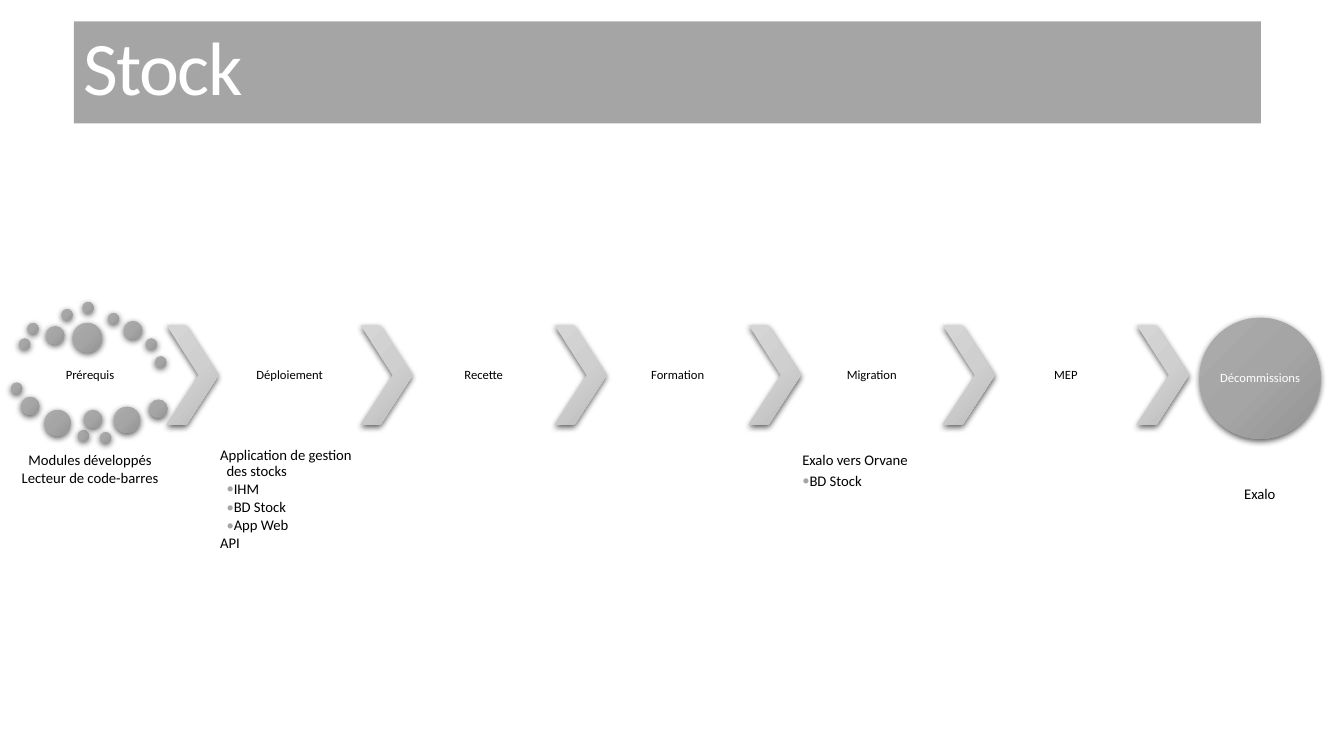
from copy import deepcopy

from lxml import etree
from pptx import Presentation
from pptx.dml.color import RGBColor
from pptx.enum.shapes import MSO_SHAPE
from pptx.enum.text import MSO_ANCHOR, PP_ALIGN
from pptx.oxml.ns import qn
from pptx.util import Cm, Pt

RECTANGLE, OVAL, CHEVRON = MSO_SHAPE.RECTANGLE, MSO_SHAPE.OVAL, MSO_SHAPE.CHEVRON
LEFT, CENTER = PP_ALIGN.LEFT, PP_ALIGN.CENTER
TOP, MIDDLE = MSO_ANCHOR.TOP, MSO_ANCHOR.MIDDLE

COLORS = {"grey": "A5A5A5", "black": "000000", "white": "FFFFFF"}
GRADIENTS = {
    "disc": ["ACACAC", "A5A5A5", "949494"],
    "arrow": ["D5D5D5", "CFCFCF", "BABABA"],
}
FONT = "Calibri"
LABEL_SIZE, DETAIL_SIZE = 9, 10.5
INDENT = 0.16

ARROW_LEFT, ARROW_TOP, ARROW_WIDTH, ARROW_HEIGHT = 4.2, 8.2, 1.31, 2.51
STEP_WIDTH = 3.58
PITCH = ARROW_WIDTH + STEP_WIDTH
DETAIL_TOP, DETAIL_HEIGHT = 11.37, 2.21

SMALL, MEDIUM, LARGE, HUGE = 0.28, 0.46, 0.66, 0.74
DOTS = [  # left and top within the cloud, diameter
    (0.2, 0.92, SMALL), (0.41, 0.53, SMALL), (0.88, 0.61, MEDIUM),
    (1.27, 0.18, SMALL), (1.8, 0, SMALL), (2.44, 0.28, SMALL),
    (2.84, 0.48, MEDIUM), (3.39, 0.92, SMALL), (3.63, 1.37, SMALL),
    (1.55, 0.53, HUGE), (0, 2.03, SMALL), (0.25, 2.39, MEDIUM),
    (0.84, 2.72, LARGE), (1.68, 3.23, SMALL), (1.83, 2.72, MEDIUM),
    (2.24, 3.28, SMALL), (2.59, 2.64, LARGE), (3.48, 2.46, MEDIUM),
]

# Each detail line: text, indent level, bulleted
STEPS = ["Déploiement", "Recette", "Formation", "Migration", "MEP"]
STEP_DETAILS = {
    "Déploiement": (11.25, 3.48, [
        ("Application de gestion des stocks", 1, False),
        ("IHM", 2, True), ("BD Stock", 2, True), ("App Web", 2, True),
        ("API", 1, False)]),
    "Migration": (DETAIL_TOP, DETAIL_HEIGHT, [
        ("Exalo vers Orvane", 0, False), ("BD Stock", 1, True)]),
}


def add_span(para, text, size, color):
    span = para.add_run()
    span.text = text
    span.font.name = FONT
    span.font.size = Pt(size)
    span.font.color.rgb = RGBColor.from_string(COLORS[color])
    return span


def add_bullet(para, size):
    properties = para._p.get_or_add_pPr()
    tint = etree.SubElement(properties, qn("a:buClr"))
    etree.SubElement(tint, qn("a:srgbClr"), val=COLORS["grey"])
    etree.SubElement(properties, qn("a:buFont"), typeface=FONT)
    etree.SubElement(properties, qn("a:buChar"), char="•")
    para.font.name = FONT
    para.font.size = Pt(size)


def add_text(page, left, top, width, height, lines, size,
             align=CENTER, anchor=MIDDLE, color="black", inset=0.04):
    box = page.shapes.add_textbox(Cm(left), Cm(top), Cm(width), Cm(height))
    frame = box.text_frame
    frame.word_wrap = True
    frame.vertical_anchor = anchor
    frame.margin_left = frame.margin_right = Cm(inset)
    frame.margin_top = frame.margin_bottom = Cm(inset)
    for index, (text, level, bulleted) in enumerate(lines):
        para = frame.add_paragraph() if index else frame.paragraphs[0]
        if bulleted:
            add_bullet(para, size)
        if level:
            properties = para._p.get_or_add_pPr()
            properties.set("marL", str(Cm(level * INDENT)))
            properties.set("indent", str(-Cm(INDENT)))
        para.level = level
        para.alignment = align
        para.line_spacing = 0.9
        para.space_after = Pt(round(size * (0.15 if level else 0.35), 1))
        add_span(para, text, size, color)


def add_label(page, left, top, width, height, text, color="black"):
    add_text(page, left, top, width, height, [(text, 0, False)], LABEL_SIZE,
             color=color, inset=0.03)


def add_shaded(page, kind, left, top, width, height, gradient):
    """Add a preset shape with a diagonal gradient and a soft shadow below."""
    shape = page.shapes.add_shape(kind, Cm(left), Cm(top), Cm(width), Cm(height))
    shape.line.fill.background()
    shape.fill.gradient()
    shape.fill.gradient_angle = 315
    properties = shape._element.spPr
    stops = properties.find(".//" + qn("a:gsLst"))
    stops.insert(1, deepcopy(stops[0]))
    for index, stop in enumerate(shape.fill.gradient_stops):
        stop.position = index / 2
        stop.color.rgb = RGBColor.from_string(GRADIENTS[gradient][index])
    shape.shadow.inherit = False
    shadow = etree.SubElement(
        properties.find(qn("a:effectLst")), qn("a:outerShdw"),
        blurRad=str(Pt(4.5)), dist=str(Pt(1.5)), dir="5400000",
        algn="ctr", rotWithShape="0")
    tint = etree.SubElement(shadow, qn("a:srgbClr"), val=COLORS["black"])
    etree.SubElement(tint, qn("a:alpha"), val="63000")
    return shape


def add_title(page, left, top, width, height):
    banner = page.shapes.add_shape(RECTANGLE, Cm(left), Cm(top), Cm(width), Cm(height))
    banner.shadow.inherit = False
    banner.fill.solid()
    banner.fill.fore_color.rgb = RGBColor.from_string(COLORS["grey"])
    banner.line.fill.background()
    banner.text_frame.vertical_anchor = MIDDLE
    para = banner.text_frame.paragraphs[0]
    para.alignment = LEFT
    para.line_spacing = 0.85
    span = add_span(para, "Stock", 54, "white")
    span.font._element.set("spc", "-120")


def add_prerequisites(page, left, top):
    """Add the cloud of dots with its label and its two lines of detail."""
    add_label(page, left + 0.2, top + 1.27, STEP_WIDTH, 1.17, "Prérequis")
    lines = [("Modules développés", 1, False), ("Lecteur de code-barres", 1, False)]
    add_text(page, left + 0.2, DETAIL_TOP, STEP_WIDTH, DETAIL_HEIGHT,
             lines, DETAIL_SIZE, anchor=TOP)
    for across, down, size in DOTS:
        add_shaded(page, OVAL, left + across, top + down, size, size, "disc")


def add_arrow(page, left):
    arrow = add_shaded(page, CHEVRON, left, ARROW_TOP,
                       ARROW_WIDTH, ARROW_HEIGHT, "arrow")
    arrow.adjustments[0] = 0.62


def add_step(page, left, name):
    add_label(page, left, ARROW_TOP, STEP_WIDTH, ARROW_HEIGHT, name)
    if name in STEP_DETAILS:
        top, height, lines = STEP_DETAILS[name]
        add_text(page, left, top, STEP_WIDTH, height, lines, DETAIL_SIZE,
                 align=LEFT, anchor=TOP)


def add_final_step(page, left):
    diameter, inner = 3.05, 2.16
    top, gap = 8.01, 0.27
    margin = (diameter - inner) / 2
    add_shaded(page, OVAL, left + gap, top, diameter, diameter, "disc")
    add_label(page, left + gap + margin, top + margin, inner, inner,
              "Décommissions", "white")
    add_text(page, left, DETAIL_TOP, STEP_WIDTH, DETAIL_HEIGHT,
             [("Exalo", 0, False)], DETAIL_SIZE)


def main():
    deck = Presentation()
    deck.slide_width, deck.slide_height = Cm(33.87), Cm(19.05)
    page = deck.slides.add_slide(deck.slide_layouts[6])
    add_title(page, 1.86, 0.54, 29.92, 2.57)
    add_prerequisites(page, 0.28, 7.61)
    for index, name in enumerate(STEPS):
        left = ARROW_LEFT + index * PITCH
        add_arrow(page, left)
        add_step(page, left + ARROW_WIDTH, name)
    last = ARROW_LEFT + len(STEPS) * PITCH
    add_arrow(page, last)
    add_final_step(page, last + ARROW_WIDTH)
    deck.save("out.pptx")


if __name__ == "__main__":
    main()
